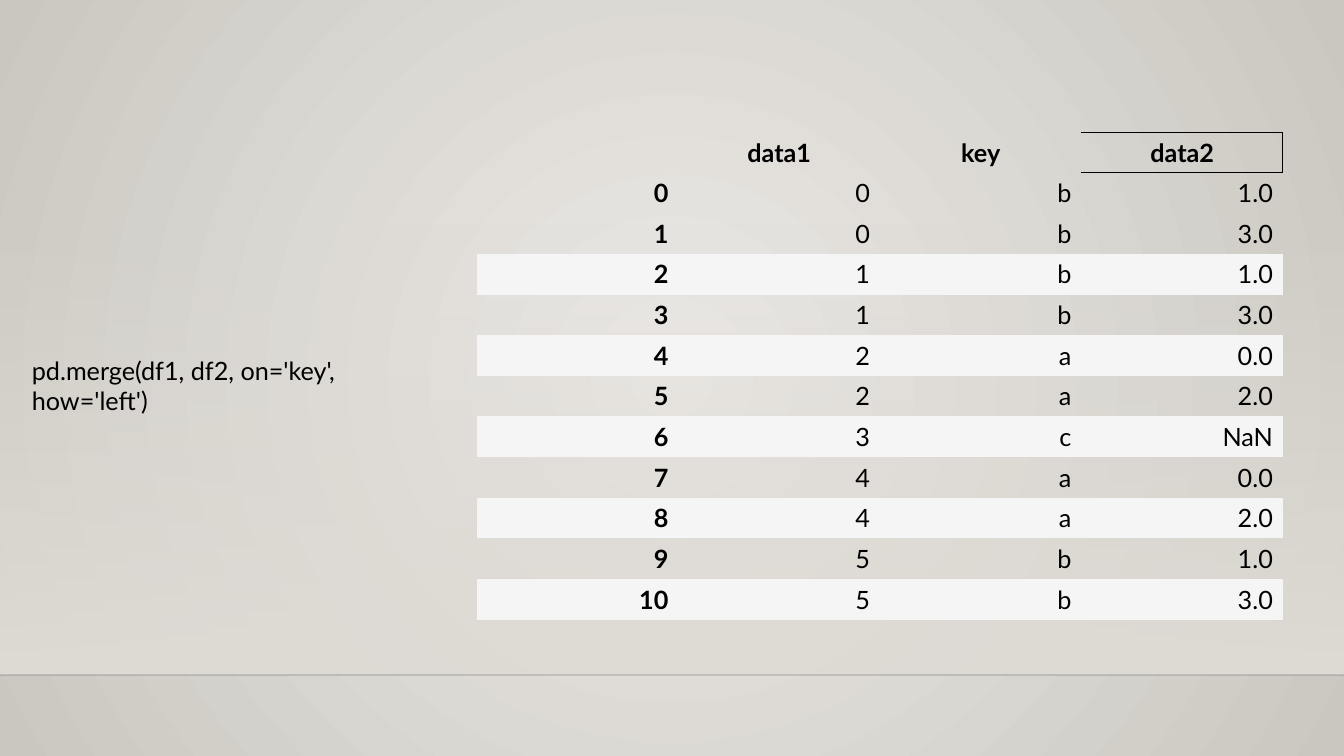
from lxml import etree
from pptx import Presentation
from pptx.dml.color import RGBColor
from pptx.enum.shapes import MSO_CONNECTOR, MSO_SHAPE
from pptx.enum.text import MSO_ANCHOR, MSO_AUTO_SIZE, PP_ALIGN
from pptx.oxml.ns import qn
from pptx.util import Emu, Pt

WIDE, HIGH = 1344, 756
SCALE = 12192000 / WIDE
FONT = "Lato"
SIZE = Pt(18)
BLACK = RGBColor(0x00, 0x00, 0x00)
RULE = RGBColor(0x00, 0x00, 0x01)
STRIPE = RGBColor(0xF5, 0xF5, 0xF5)
GLOW = RGBColor(0xEC, 0xEA, 0xE7)
EDGE = RGBColor(0xCA, 0xC7, 0xC1)
FLOOR = RGBColor(0xDF, 0xDB, 0xD5)
LEFT, CENTER, RIGHT = PP_ALIGN.LEFT, PP_ALIGN.CENTER, PP_ALIGN.RIGHT
MIDDLE = MSO_ANCHOR.MIDDLE
GROW = MSO_AUTO_SIZE.SHAPE_TO_FIT_TEXT
RECT = MSO_SHAPE.RECTANGLE
STRAIGHT = MSO_CONNECTOR.STRAIGHT
PLAIN = "{2D5ABB26-0587-4C30-8999-92F81FD0307C}"

CODE = "pd.merge(df1, df2, on='key', how='left')"
HEAD = ("", "data1", "key", "data2")
ROWS = (
    (0, "b", "1.0"),
    (0, "b", "3.0"),
    (1, "b", "1.0"),
    (1, "b", "3.0"),
    (2, "a", "0.0"),
    (2, "a", "2.0"),
    (3, "c", "NaN"),
    (4, "a", "0.0"),
    (4, "a", "2.0"),
    (5, "b", "1.0"),
    (5, "b", "3.0"),
)


def px(n):
    return Emu(round(n * SCALE))


def add_run(para, text, align=LEFT, bold=False):
    para.alignment = align
    run = para.add_run()
    run.text = text
    run.font.name = FONT
    run.font.size = SIZE
    run.font.bold = bold
    run.font.color.rgb = BLACK


def blend(fill, first, last):
    fill.gradient()
    for stop, color, place in zip(fill.gradient_stops, (first, last), (0, 1)):
        stop.color.rgb = color
        stop.position = place


def fade(root, percent):
    color = next(root.iter(qn("a:srgbClr")))
    etree.SubElement(color, qn("a:alpha"), val=str(percent * 1000))


def add_ground(slide):
    blend(slide.background.fill, GLOW, EDGE)
    grad = next(slide.element.iter(qn("a:gradFill")))
    grad.remove(grad.find(qn("a:lin")))
    circle = etree.SubElement(grad, qn("a:path"), path="circle")
    etree.SubElement(circle, qn("a:fillToRect"), l="50000", t="50000", r="50000", b="50000")


def add_floor(slide, x, y, w, h):
    band = slide.shapes.add_shape(RECT, px(x), px(y), px(w), px(h))
    band.shadow.inherit = False
    band.line.fill.background()
    blend(band.fill, FLOOR, FLOOR)
    band.fill.gradient_angle = 270
    fade(band.element.spPr, 0)

    line = slide.shapes.add_connector(STRAIGHT, px(x), px(y + h), px(x + w), px(y + h))
    line.line.color.rgb = RULE
    line.line.width = Pt(1)
    props = line.element.spPr
    fade(props, 20)
    etree.SubElement(props, qn("a:effectLst"))


def add_code(slide, x, y, w, h):
    frame = slide.shapes.add_textbox(px(x), px(y), px(w), px(h)).text_frame
    frame.word_wrap = True
    frame.auto_size = GROW
    add_run(frame.paragraphs[0], CODE)


def add_border(cell, sides):
    props = cell._tc.get_or_add_tcPr()
    for spot, side in enumerate(sides):
        line = etree.Element(qn("a:ln" + side), w=str(Pt(0.75)))
        solid = etree.SubElement(line, qn("a:solidFill"))
        etree.SubElement(solid, qn("a:srgbClr"), val=str(BLACK))
        props.insert(spot, line)


def add_grid(slide, x, y, w, h):
    rows = [HEAD] + [(i, *row) for i, row in enumerate(ROWS)]
    frame = slide.shapes.add_table(len(rows), len(HEAD), px(x), px(y), px(w), px(h))
    table = frame.table
    table.first_row = table.horz_banding = False
    next(frame.element.iter(qn("a:tableStyleId"))).text = PLAIN
    for r, row in enumerate(rows):
        for c, value in enumerate(row):
            cell = table.cell(r, c)
            cell.vertical_anchor = MIDDLE
            if r > 2 and r % 2:
                cell.fill.solid()
                cell.fill.fore_color.rgb = STRIPE
            else:
                cell.fill.background()
            if value != "":
                align = RIGHT if r else CENTER
                add_run(cell.text_frame.paragraphs[0], str(value), align, r == 0 or c == 0)
    add_border(table.cell(0, len(HEAD) - 1), "RTB")


def main():
    deck = Presentation()
    deck.slide_width, deck.slide_height = px(WIDE), px(HIGH)
    slide = deck.slides.add_slide(deck.slide_layouts[6])
    add_ground(slide)
    add_floor(slide, 0, 223, WIDE, 452)
    add_code(slide, 22, 350, 429, 40)
    add_grid(slide, 477, 132, 806, 488)
    deck.save("out.pptx")


if __name__ == "__main__":
    main()
